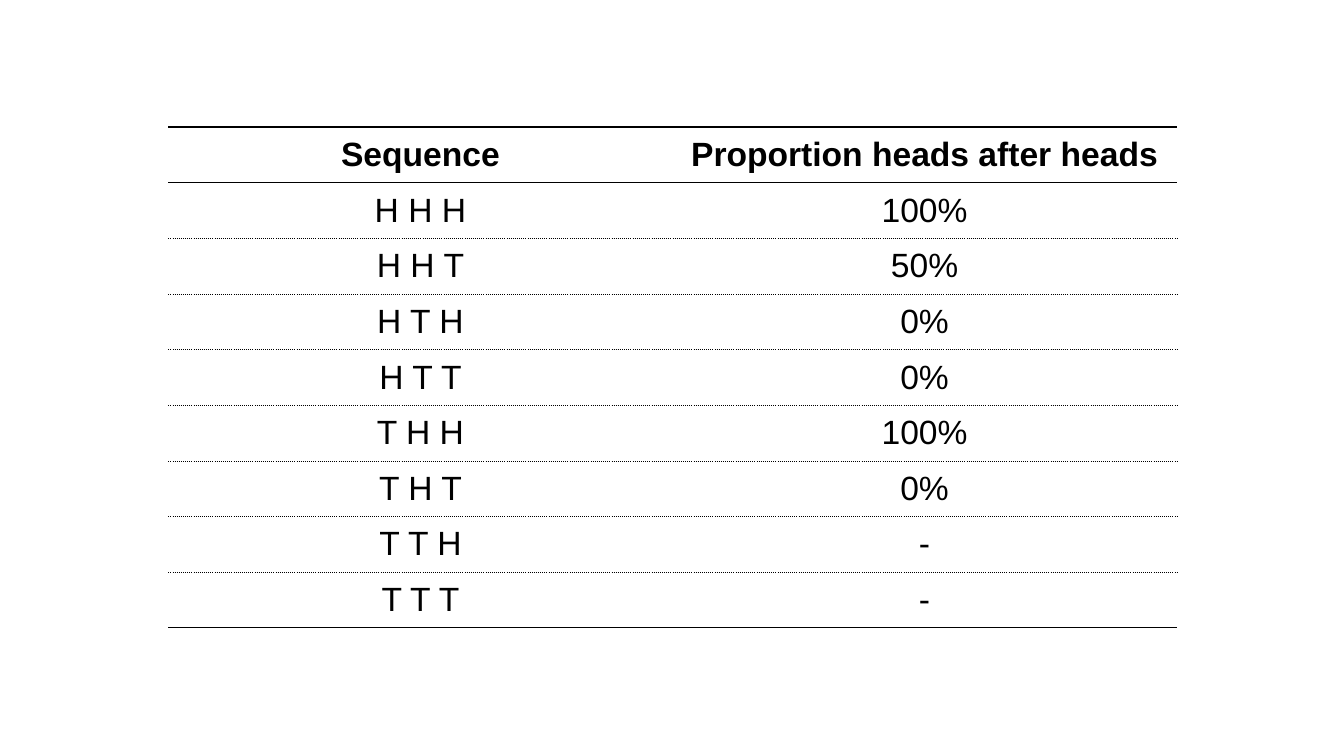
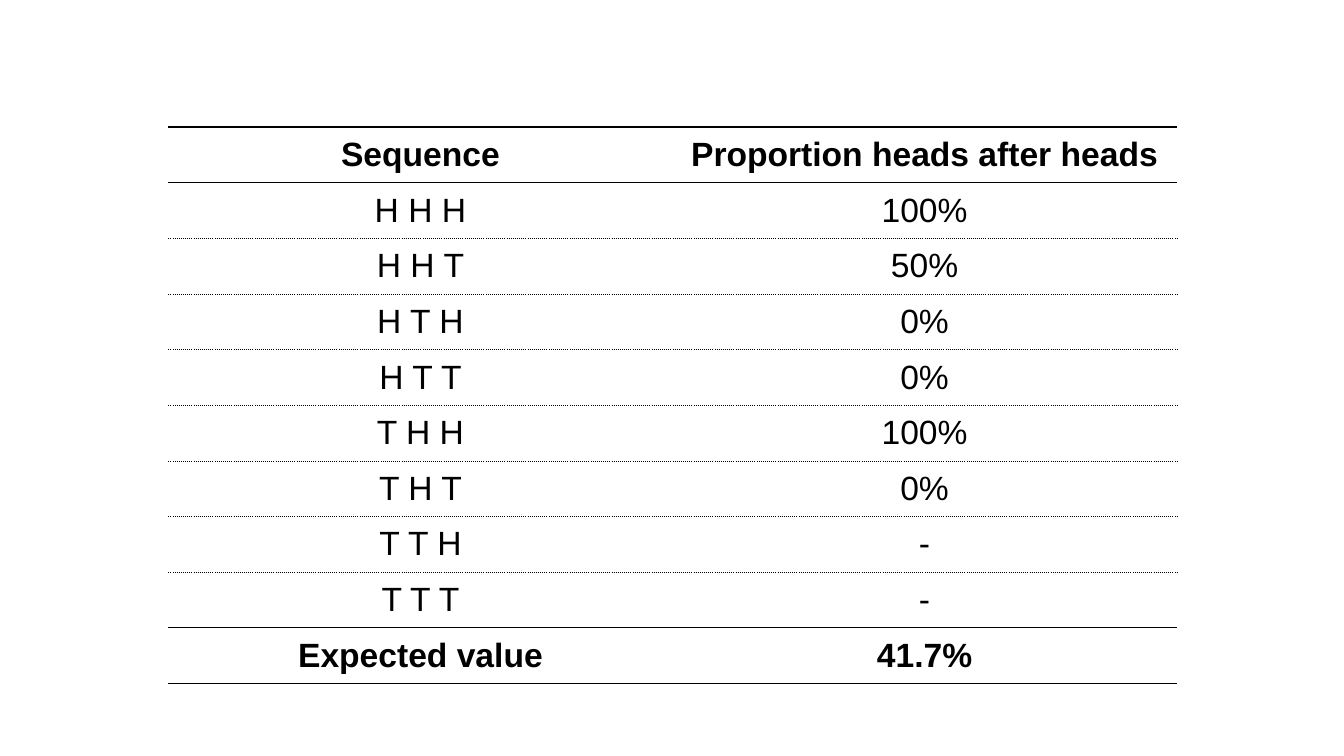
from lxml import etree
from pptx import Presentation
from pptx.dml.color import RGBColor
from pptx.enum.text import MSO_ANCHOR, PP_ALIGN
from pptx.oxml.ns import qn
from pptx.util import Inches, Pt

CENTER = PP_ALIGN.CENTER
MIDDLE = MSO_ANCHOR.MIDDLE

BLACK = "000000"
FONT = "Arial"
FONT_SIZE = Pt(24)
SOLID_RULE = (Pt(1), "solid")
DOTTED_RULE = (Pt(0.5), "sysDot")

TABLE_LEFT, TABLE_TOP = Inches(1.67), Inches(1.26)
COLUMN_WIDTH = Inches(5)
ROW_HEIGHT = Inches(4.97) // 9

HEADER = ("Sequence", "Proportion heads after heads")
SEQUENCES = [
    ("H H H", "100%"),
    ("H H T", "50%"),
    ("H T H", "0%"),
    ("H T T", "0%"),
    ("T H H", "100%"),
    ("T H T", "0%"),
    ("T T H", "-"),
    ("T T T", "-"),
]
EXPECTED_VALUE = ("Expected value", "41.7%")
SLIDES = [
    [HEADER, *SEQUENCES],
    [HEADER, *SEQUENCES, EXPECTED_VALUE],
]


def color(value):
    return RGBColor.from_string(value)


def add_border(cell, side, rule=None):
    properties = cell._tc.get_or_add_tcPr()
    line = etree.SubElement(properties, qn(f"a:ln{side}"))
    if rule is None:
        line.set("w", "0")
        etree.SubElement(line, qn("a:noFill"))
        return
    width, dash = rule
    line.set("w", str(int(width)))
    fill = etree.SubElement(line, qn("a:solidFill"))
    etree.SubElement(fill, qn("a:srgbClr"), val=BLACK)
    etree.SubElement(line, qn("a:prstDash"), val=dash)


def rule_at(boundary, row_count):
    solid = {0, 1, len(SEQUENCES) + 1, row_count}
    return SOLID_RULE if boundary in solid else DOTTED_RULE


def format_cell(cell, text, bold, top_rule, bottom_rule):
    cell.text = text
    cell.vertical_anchor = MIDDLE
    paragraph = cell.text_frame.paragraphs[0]
    paragraph.alignment = CENTER
    font = paragraph.font
    font.name, font.size, font.bold = FONT, FONT_SIZE, bold
    font.color.rgb = color(BLACK)
    add_border(cell, "L")
    add_border(cell, "R")
    add_border(cell, "T", top_rule)
    add_border(cell, "B", bottom_rule)
    cell.fill.background()


def add_sequence_table(slide, rows):
    row_count, column_count = len(rows), len(HEADER)
    table = slide.shapes.add_table(
        row_count, column_count, TABLE_LEFT, TABLE_TOP,
        COLUMN_WIDTH * column_count, ROW_HEIGHT * row_count,
    ).table
    table.first_row = False
    table.horz_banding = False
    for column in table.columns:
        column.width = COLUMN_WIDTH
    for row_index, row in enumerate(rows):
        table.rows[row_index].height = ROW_HEIGHT
        bold = row in (HEADER, EXPECTED_VALUE)
        top_rule = rule_at(row_index, row_count)
        bottom_rule = rule_at(row_index + 1, row_count)
        for column_index, text in enumerate(row):
            cell = table.cell(row_index, column_index)
            format_cell(cell, text, bold, top_rule, bottom_rule)


def main():
    presentation = Presentation()
    presentation.slide_width = Inches(13.33)
    presentation.slide_height = Inches(7.5)
    blank_layout = presentation.slide_layouts.get_by_name("Blank")
    for rows in SLIDES:
        slide = presentation.slides.add_slide(blank_layout)
        add_sequence_table(slide, rows)
    presentation.save("out.pptx")


if __name__ == "__main__":
    main()
